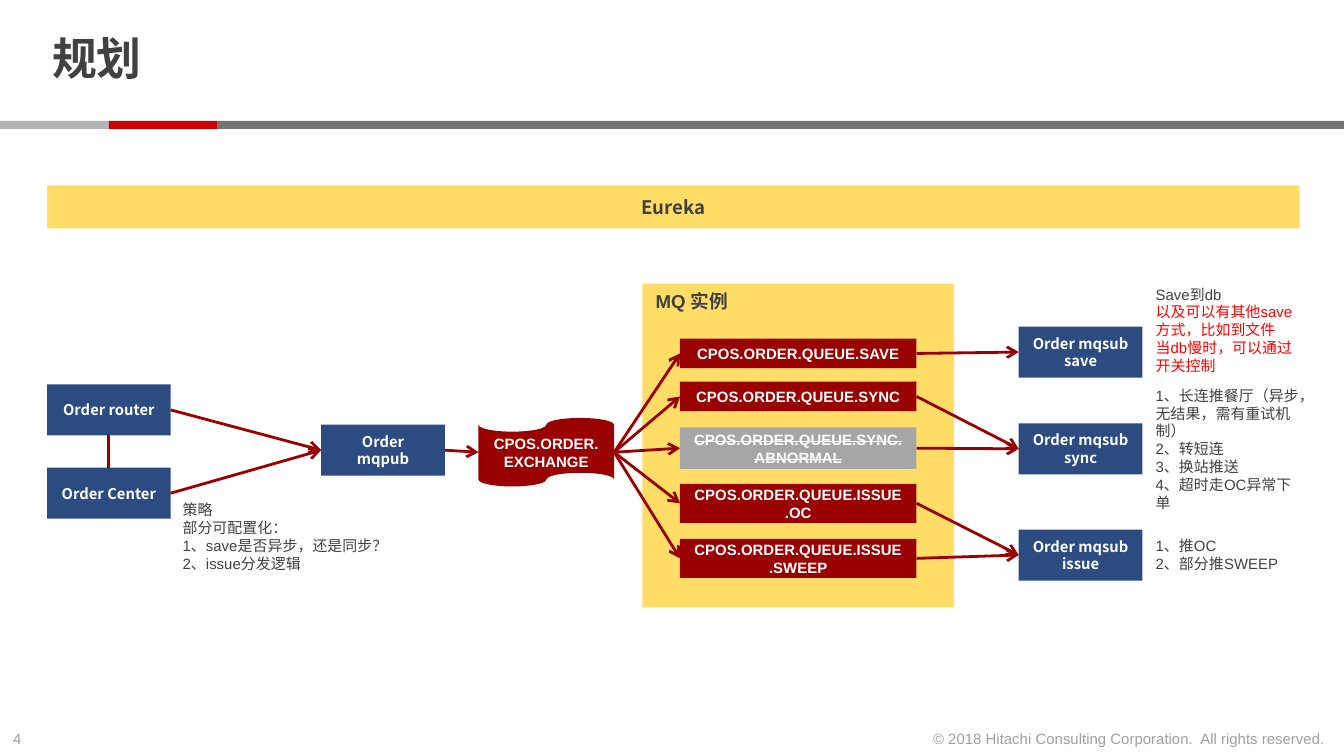
from dataclasses import dataclass

from lxml import etree
from pptx import Presentation
from pptx.dml.color import RGBColor
from pptx.enum.shapes import MSO_CONNECTOR, MSO_SHAPE
from pptx.enum.text import MSO_ANCHOR, MSO_AUTO_SIZE, PP_ALIGN
from pptx.oxml.ns import qn
from pptx.util import Inches, Pt

RECT, TAPE = MSO_SHAPE.RECTANGLE, MSO_SHAPE.FLOWCHART_PUNCHED_TAPE
STRAIGHT = MSO_CONNECTOR.STRAIGHT
LEFT, CENTER, RIGHT = PP_ALIGN.LEFT, PP_ALIGN.CENTER, PP_ALIGN.RIGHT
TOP, MIDDLE = MSO_ANCHOR.TOP, MSO_ANCHOR.MIDDLE
FIT = MSO_AUTO_SIZE.SHAPE_TO_FIT_TEXT
SITE_TOP, SITE_LEFT, SITE_BOTTOM, SITE_RIGHT = range(4)


@dataclass(frozen=True)
class Theme:
    ink: str = "414141"
    white: str = "FFFFFF"
    faint: str = "A0A0A0"
    alert: str = "FF0000"
    service: str = "2C4B80"
    queue: str = "990000"
    retired: str = "A6A6A6"
    panel: str = "FFDD66"
    bar_dark: str = "737373"
    bar_red: str = "CC0000"
    bar_light: str = "B3B3B3"
    latin: str = "Arial"
    cjk: str = "Noto Sans CJK SC"
    title: float = 24
    heading: float = 10
    body: float = 8
    label: float = 7.9
    line: float = 1.5


T = Theme()


def write(s, *lines, size=T.body, color=T.ink, font=T.latin, bold=False,
          strike=False, align=LEFT, anchor=MIDDLE, wrap=True, spacing=None):
    tf = s.text_frame
    tf.word_wrap = wrap
    tf.vertical_anchor = anchor
    for i, line in enumerate(lines):
        text, shade = line if isinstance(line, tuple) else (line, color)
        p = tf.add_paragraph() if i else tf.paragraphs[0]
        p.alignment = align
        p.line_spacing = spacing
        r = p.add_run()
        r.text = text
        r.font.size = Pt(size)
        r.font.bold = bold
        r.font.name = font
        r.font.color.rgb = RGBColor.from_string(shade)
        props = r._r.get_or_add_rPr()
        etree.SubElement(props, qn("a:ea"), typeface=T.cjk)
        if strike:
            props.set("strike", "sngStrike")
    return tf


def add_block(slide, box, fill, kind=RECT):
    s = slide.shapes.add_shape(kind, *map(Inches, box))
    s.shadow.inherit = False
    s.fill.solid()
    s.fill.fore_color.rgb = RGBColor.from_string(fill)
    s.line.fill.background()
    return s


def add_text(slide, box, *lines, **fmt):
    return write(slide.shapes.add_textbox(*map(Inches, box)), *lines, **fmt)


def add_link(slide, start, end, exit_site=SITE_RIGHT, entry_site=SITE_LEFT, arrow=True):
    c = slide.shapes.add_connector(STRAIGHT, 0, 0, 0, 0)
    c.begin_connect(start, exit_site)
    c.end_connect(end, entry_site)
    c.line.color.rgb = RGBColor.from_string(T.queue)
    c.line.width = Pt(T.line)
    props = c._element.spPr
    if arrow:
        etree.SubElement(props.find(qn("a:ln")), qn("a:tailEnd"), type="arrow")
    etree.SubElement(props, qn("a:effectLst"))


def add_header(slide, box):
    x, y, w, h = box
    tf = add_text(slide, (x + 0.29, y + 0.06, 7.71, 0.8), "规划",
                  size=T.title, bold=True, spacing=0.85)
    tf.margin_top = tf.margin_bottom = 0
    step = 0.81
    bars = ((0, step, T.bar_light), (step, step, T.bar_red),
            (2 * step, w - 2 * step, T.bar_dark))
    for dx, width, fill in bars:
        add_block(slide, (x + dx, y + h - 0.06, width, 0.06), fill)


def add_footer(slide, box):
    x, y, w, h = box
    fmt = dict(color=T.faint, anchor=TOP, wrap=False)
    add_text(slide, (x, y, 0.34, h), "4", **fmt).auto_size = FIT
    add_text(slide, (x + w - 3.2, y, 3.16, h),
             "© 2018 Hitachi Consulting Corporation.\u00a0 All rights reserved.",
             align=RIGHT, **fmt).auto_size = FIT


def add_registry(slide, box):
    write(add_block(slide, box, T.panel), "Eureka", size=T.heading,
          font=T.cjk, bold=True, align=CENTER)


def add_service(slide, x, y, name):
    s = add_block(slide, (x, y, 0.92, 0.38), T.service)
    write(s, name, size=T.label, color=T.white, font=T.cjk, bold=True, align=CENTER)
    return s


def add_queue(slide, box, name, kind=RECT, retired=False):
    s = add_block(slide, box, T.retired if retired else T.queue, kind)
    write(s, name, color=T.white, bold=True, strike=retired, align=CENTER)
    return s


def add_publishers(slide, box):
    x, y, w, h = box
    router = add_service(slide, x, y, "Order router")
    center = add_service(slide, x, y + 0.62, "Order Center")
    mqpub = add_service(slide, x + 2.04, y + 0.3, "Order mqpub")
    exchange = add_queue(slide, (x + w - 1.01, y + 0.25, 1.01, 0.51),
                         "CPOS.ORDER.EXCHANGE", kind=TAPE)
    add_link(slide, router, center, SITE_BOTTOM, SITE_TOP, arrow=False)
    for start, end in ((router, mqpub), (center, mqpub), (mqpub, exchange)):
        add_link(slide, start, end)
    add_text(slide, (x + 0.91, y + h - 0.64, 1.65, 0.64),
             "策略", "部分可配置化：", "1、save是否异步，还是同步？", "2、issue分发逻辑")
    return exchange


def add_broker(slide, box, exchange):
    x, y, w, h = box
    write(add_block(slide, box, T.panel), "MQ 实例", size=T.heading,
          bold=True, anchor=TOP)
    rows = (("SAVE", 0.41, 0.22), ("SYNC", 0.73, 0.22), ("SYNC.ABNORMAL", 1.07, 0.31),
            ("ISSUE.OC", 1.49, 0.29), ("ISSUE.SWEEP", 1.9, 0.29))
    queues = {}
    for name, dy, height in rows:
        queues[name] = add_queue(slide, (x + 0.28, y + dy, w - 0.56, height),
                                 f"CPOS.ORDER.QUEUE.{name}",
                                 retired=name == "SYNC.ABNORMAL")
        add_link(slide, exchange, queues[name])
    return queues


def add_subscribers(slide, box, queues):
    x, y, w, h = box
    rows = (
        ("save", 0.36, ("SAVE",), 0, 0.77,
         ("Save到db", ("以及可以有其他save方式，比如到文件", T.alert),
          ("当db慢时，可以通过开关控制", T.alert))),
        ("sync", 1.08, ("SYNC", "SYNC.ABNORMAL"), 0.75, 1.04,
         ("1、长连推餐厅（异步，无结果，需有重试机制）", "2、转短连",
          "3、换站推送", "4、超时走OC异常下单")),
        ("issue", 1.87, ("ISSUE.OC", "ISSUE.SWEEP"), 1.87, 0.37,
         ("1、推OC", "2、部分推SWEEP")),
    )
    for name, dy, sources, note_dy, note_h, notes in rows:
        service = add_service(slide, x, y + dy, f"Order mqsub {name}")
        for source in sources:
            add_link(slide, queues[source], service)
        add_text(slide, (x + 0.92, y + note_dy, w - 0.92, note_h), *notes)


def main():
    prs = Presentation()
    prs.slide_width = Inches(10)
    prs.slide_height = prs.slide_width * 9 // 16
    slide = prs.slides.add_slide(prs.slide_layouts[6])
    add_header(slide, (0, 0, 10, 0.96))
    add_footer(slide, (0, 5.38, 10, 0.24))
    add_registry(slide, (0.35, 1.38, 9.32, 0.32))
    exchange = add_publishers(slide, (0.35, 2.86, 4.22, 1.45))
    queues = add_broker(slide, (4.78, 2.11, 2.32, 2.41), exchange)
    add_subscribers(slide, (7.58, 2.07, 2.2, 2.25), queues)
    prs.save("out.pptx")


if __name__ == "__main__":
    main()
